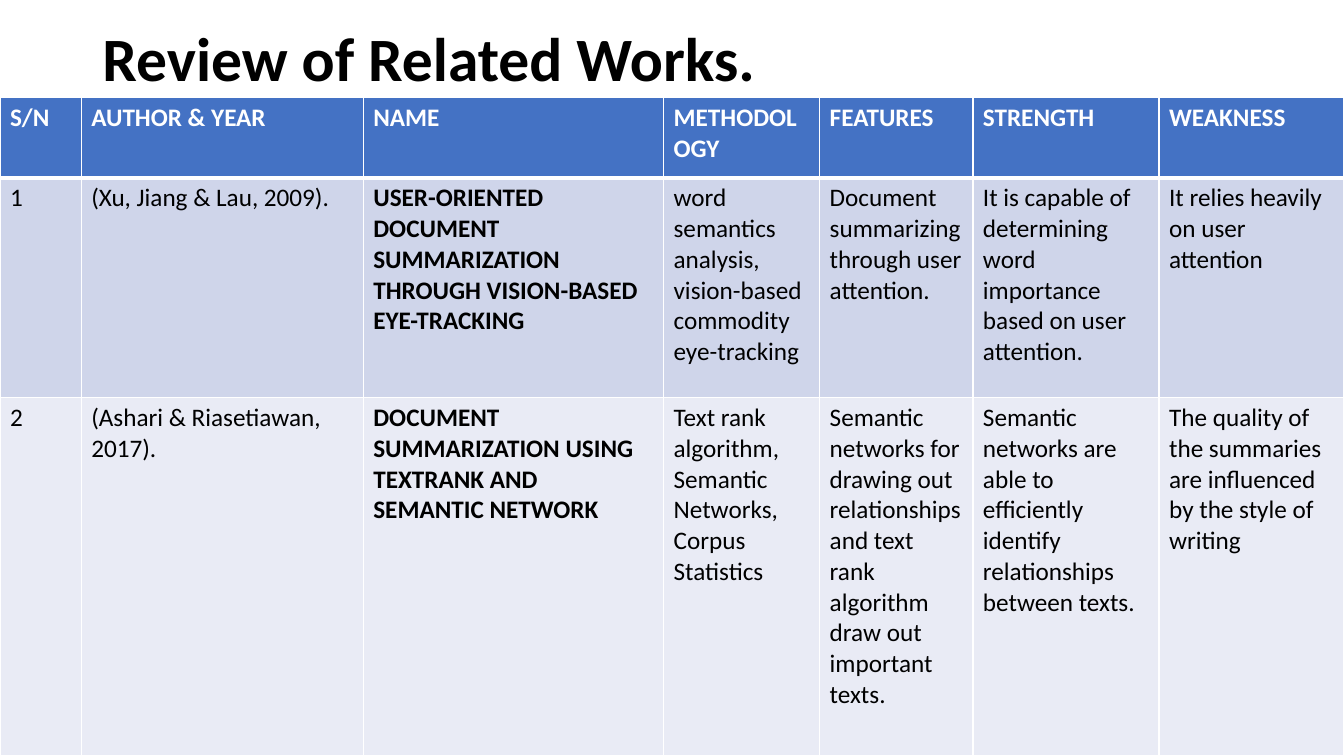
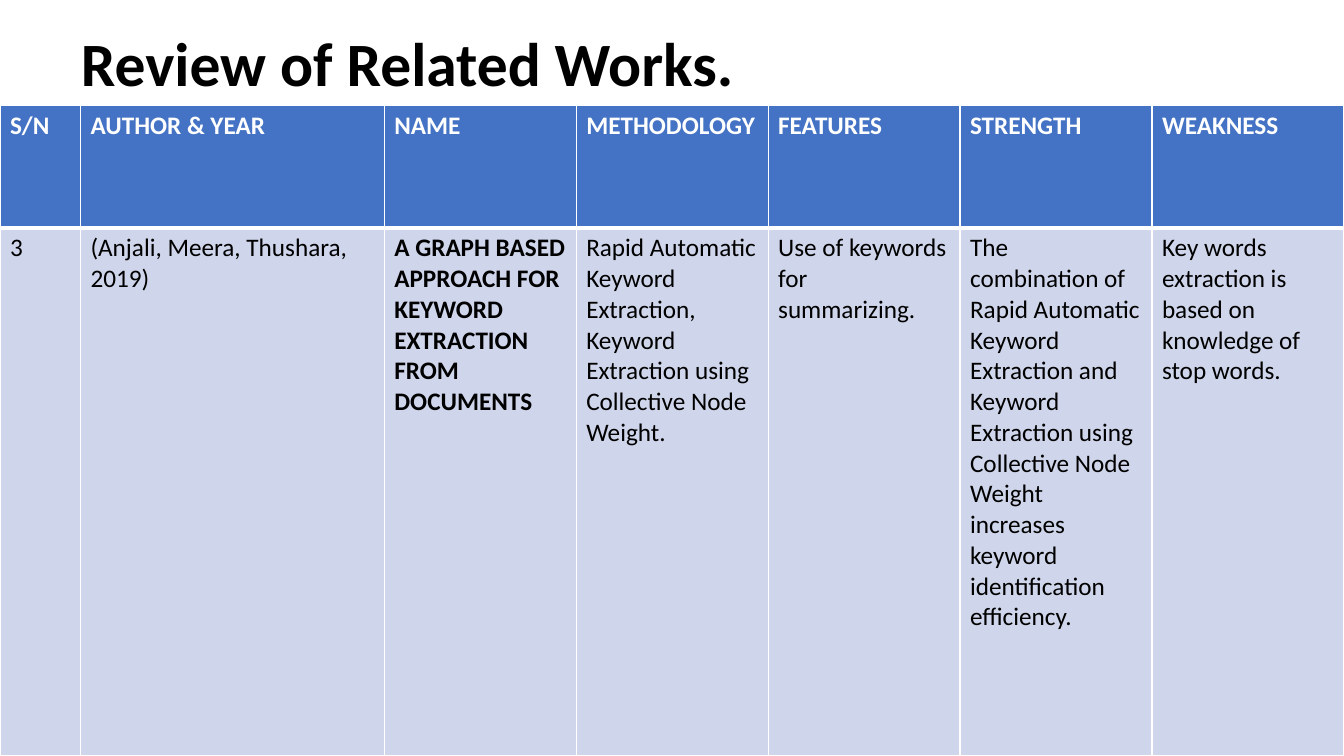
from lxml.etree import SubElement
from pptx import Presentation
from pptx.dml.color import RGBColor
from pptx.enum.text import MSO_ANCHOR, MSO_AUTO_SIZE, PP_ALIGN
from pptx.oxml.ns import qn
from pptx.util import Pt

WIDE, HIGH = 960, 540
HUES = {
    "ink": "000000",
    "line": "FFFFFF",
    "head": "4472C4",
    "odd": "CFD5EA",
    "even": "E9EBF5",
}
FONT = {"name": "Calibri"}
TITLE = {**FONT, "size": Pt(44), "bold": True}
BODY = {**FONT, "size": Pt(18), "bold": False}
BOLD = {**BODY, "bold": True}
FRAME = {
    "word_wrap": True,
    "auto_size": MSO_AUTO_SIZE.NONE,
    "vertical_anchor": MSO_ANCHOR.MIDDLE,
}
PARA = {"alignment": PP_ALIGN.LEFT, "line_spacing": 0.9}
HEADS = ["S/N", "AUTHOR & YEAR", "NAME", "METHODOLOGY",
         "FEATURES", "STRENGTH", "WEAKNESS"]
NAME = HEADS.index("NAME")

WORKS = [
    ["1", "(Xu, Jiang & Lau, 2009).",
     "USER-ORIENTED DOCUMENT SUMMARIZATION THROUGH VISION-BASED EYE-TRACKING",
     "word semantics analysis, vision-based commodity eye-tracking",
     "Document summarizing through user attention.",
     "It is capable of determining word importance based on user attention.",
     "It relies heavily on user attention"],
    ["2", "(Ashari & Riasetiawan, 2017).",
     "DOCUMENT SUMMARIZATION USING TEXTRANK AND SEMANTIC NETWORK",
     "Text rank algorithm, Semantic Networks, Corpus Statistics",
     "Semantic networks for drawing out relationships and text rank "
     "algorithm draw out important texts.",
     "Semantic networks are able to efficiently identify relationships "
     "between texts.",
     "The quality of the summaries are influenced by the style of writing"],
    ["3", "(Anjali, Meera, Thushara, 2019)",
     "A GRAPH BASED APPROACH FOR KEYWORD EXTRACTION FROM DOCUMENTS",
     "Rapid Automatic Keyword Extraction, Keyword Extraction using "
     "Collective Node Weight.",
     "Use of keywords for summarizing.",
     "The combination of Rapid Automatic Keyword Extraction and Keyword "
     "Extraction using Collective Node Weight increases keyword "
     "identification efficiency.",
     "Key words extraction is based on knowledge of stop words."],
]

PAGES = [
    {"title": (66, -8.5), "works": WORKS[:2], "rows": [57.5, 157, 256],
     "cols": [58, 201.5, 214.5, 111.5, 109.5, 133, 132]},
    {"title": (50.5, -4.5), "works": WORKS[2:], "rows": [87.25, 377.25],
     "cols": [57.5, 217] + [137.1] * 5},
]


def style(item, form):
    for key, value in form.items():
        setattr(item, key, value)


def write(frame, text, form, hue):
    para = frame.paragraphs[0]
    run = para.add_run()
    run.text = text
    style(run.font, form)
    run.font.color.rgb = RGBColor.from_string(HUES[hue])
    return para


def add_title(slide, left, top):
    shape = slide.shapes.title
    style(shape, {"left": Pt(left), "top": Pt(top),
                  "width": Pt(828), "height": Pt(104.5)})
    style(shape.text_frame, FRAME)
    para = write(shape.text_frame, "Review of Related Works.", TITLE, "ink")
    style(para, PARA)


def edge(cell, row):
    props = cell._tc.get_or_add_tcPr()
    sides = {"L": 1, "R": 1, "T": 3 if row == 1 else 1,
             "B": 3 if row == 0 else 1}
    for side, width in sides.items():
        line = SubElement(props, qn(f"a:ln{side}"), w=str(Pt(width)))
        fill = SubElement(line, qn("a:solidFill"))
        SubElement(fill, qn("a:srgbClr"), val=HUES["line"])


def fill_cell(cell, text, row, col):
    edge(cell, row)
    back = "head" if row == 0 else "odd" if row % 2 else "even"
    cell.fill.solid()
    cell.fill.fore_color.rgb = RGBColor.from_string(HUES[back])
    form = BOLD if row == 0 or col == NAME else BODY
    write(cell.text_frame, text, form, "ink" if row else "line")


def add_grid(slide, works, rows, cols):
    high = sum(rows)
    grid = slide.shapes.add_table(
        len(rows), len(cols), 0, Pt(HIGH - high), Pt(WIDE), Pt(high)).table
    for col, width in zip(grid.columns, cols):
        col.width = Pt(width)
    for row, height in zip(grid.rows, rows):
        row.height = Pt(height)
    for row, texts in enumerate([HEADS, *works]):
        for col, text in enumerate(texts):
            fill_cell(grid.cell(row, col), text, row, col)


def main():
    deck = Presentation()
    style(deck, {"slide_width": Pt(WIDE), "slide_height": Pt(HIGH)})
    for page in PAGES:
        slide = deck.slides.add_slide(
            deck.slide_layouts.get_by_name("Title Only"))
        add_title(slide, *page["title"])
        add_grid(slide, page["works"], page["rows"], page["cols"])
    deck.save("out.pptx")


if __name__ == "__main__":
    main()
